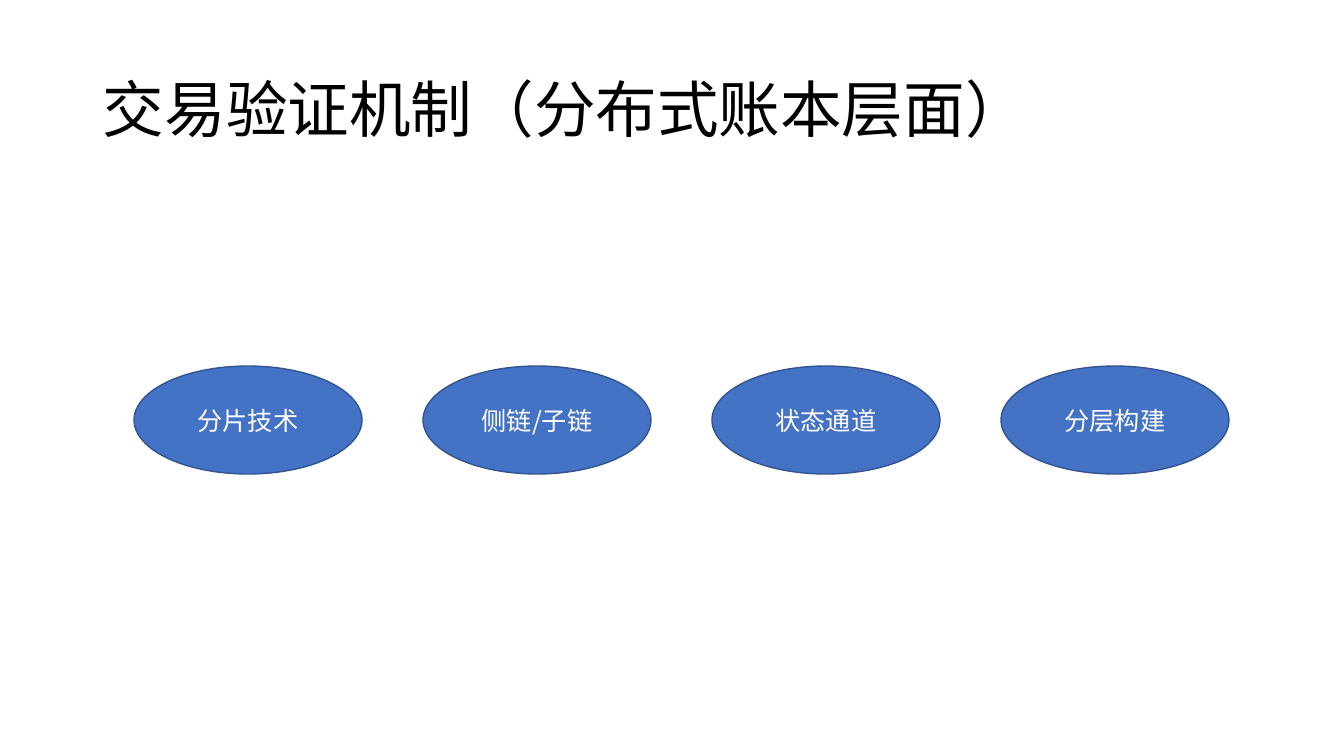
from dataclasses import dataclass

from lxml.etree import SubElement
from pptx import Presentation
from pptx.dml.color import RGBColor
from pptx.enum.shapes import MSO_SHAPE as Preset
from pptx.enum.text import MSO_ANCHOR as Anchor, PP_ALIGN as Align
from pptx.oxml.ns import qn
from pptx.slide import Slide
from pptx.text.text import TextFrame
from pptx.util import Emu, Pt

EMU_PER_PX = 914400 / 100.8
FONT = "Noto Sans CJK SC"
COLORS = {
    "title": "000000",
    "label": "FFFFFF",
    "fill": "4472C4",
    "outline": "325491",
}

# Row of mechanisms, in px
FIRST_LEFT, ROW_TOP, PITCH = 134, 366, 289
ELLIPSE_WIDTH, ELLIPSE_HEIGHT = 228, 108


@dataclass
class Mechanism:
    label: str
    column: int

    @property
    def left(self) -> int:
        return FIRST_LEFT + self.column * PITCH


LABELS = ["分片技术", "侧链/子链", "状态通道", "分层构建"]
MECHANISMS = [Mechanism(label, column) for column, label in enumerate(LABELS)]


def px(length: int) -> Emu:
    return Emu(round(length * EMU_PER_PX))


def color(name: str) -> RGBColor:
    return RGBColor.from_string(COLORS[name])


def write(frame: TextFrame, text: str, size: int, color_name: str,
          align: Align, line_spacing: float = 1.0) -> None:
    frame.word_wrap = True
    frame.vertical_anchor = Anchor.MIDDLE
    paragraph = frame.paragraphs[0]
    paragraph.alignment = align
    paragraph.line_spacing = line_spacing
    run = paragraph.add_run()
    run.text = text
    run.font.size = Pt(size)
    run.font.name = FONT
    run.font.color.rgb = color(color_name)
    # East Asian typeface
    SubElement(run.font._element, qn("a:ea"), typeface=FONT)


def draw_title(slide: Slide, text: str) -> None:
    title = slide.shapes.add_textbox(px(93), px(40), px(1159), px(146))
    write(title.text_frame, text, 44, "title", Align.LEFT, 0.9)


def draw_mechanism(slide: Slide, mechanism: Mechanism) -> None:
    ellipse = slide.shapes.add_shape(
        Preset.OVAL, px(mechanism.left), px(ROW_TOP),
        px(ELLIPSE_WIDTH), px(ELLIPSE_HEIGHT))
    ellipse.shadow.inherit = False
    ellipse.fill.solid()
    ellipse.fill.fore_color.rgb = color("fill")
    ellipse.line.color.rgb = color("outline")
    ellipse.line.width = Pt(1)
    write(ellipse.text_frame, mechanism.label, 18, "label", Align.CENTER)


def main() -> None:
    deck = Presentation()
    deck.slide_width, deck.slide_height = px(1344), px(756)
    slide = deck.slides.add_slide(deck.slide_layouts[6])

    draw_title(slide, "交易验证机制（分布式账本层面）")
    for mechanism in MECHANISMS:
        draw_mechanism(slide, mechanism)

    deck.save("out.pptx")


if __name__ == "__main__":
    main()
